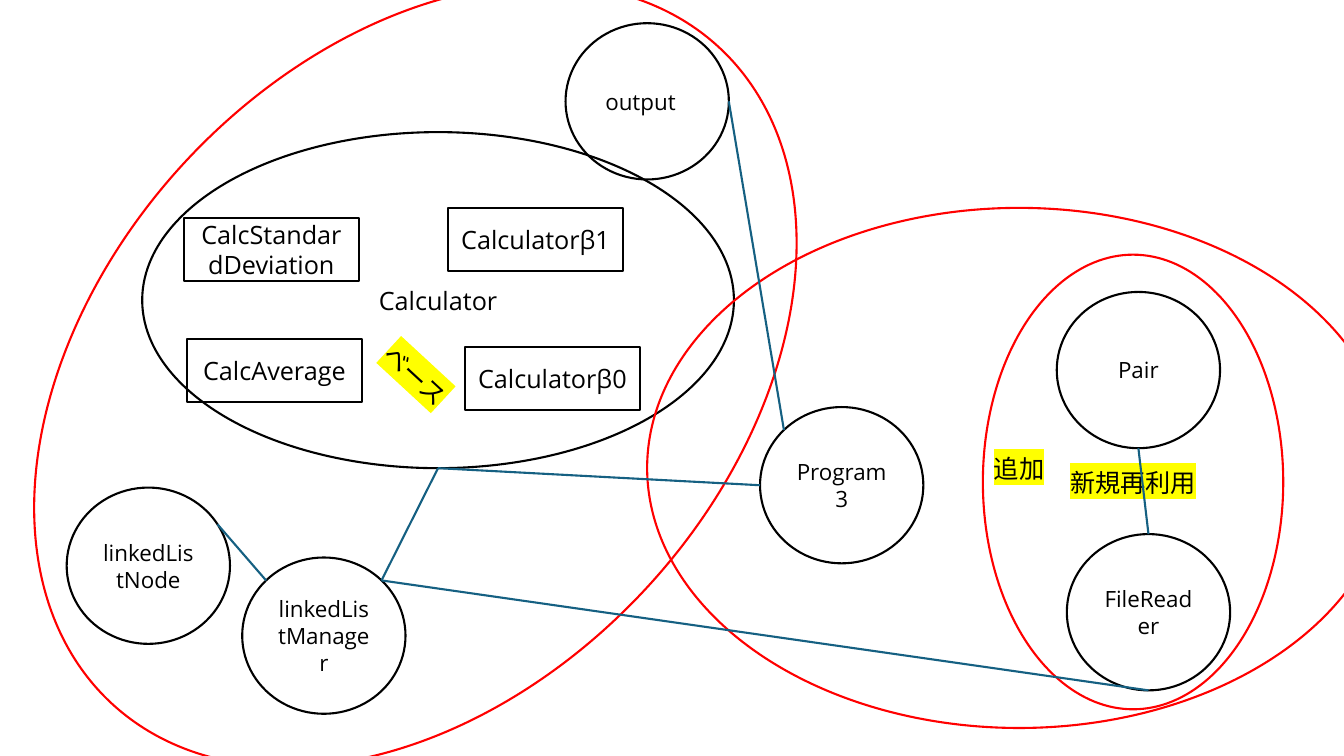
"""Build the class relationship diagram of the calculator program."""
from dataclasses import dataclass
from math import cos, radians, sin

from lxml.etree import SubElement
from pptx import Presentation
from pptx.dml.color import RGBColor
from pptx.enum.shapes import MSO_CONNECTOR, MSO_SHAPE
from pptx.enum.text import MSO_ANCHOR, PP_ALIGN
from pptx.oxml.ns import qn
from pptx.shapes.autoshape import Shape
from pptx.slide import Slide
from pptx.text.text import _Run
from pptx.util import Inches, Pt

COLORS = {"ink": "000000", "group": "FF0000", "link": "156082", "marker": "FFFF00"}
FONT = "Open Sans"
SLIDE_WIDTH, SLIDE_HEIGHT = Inches(40 / 3), Inches(7.5)
COLUMN, ROW = SLIDE_WIDTH / 100, SLIDE_HEIGHT / 100
LINE_WIDTH = Pt(1.5)
CIRCLE_SIZE = (12.15, 20.67)
BOX_SIZE = (13, 8.35)
SITES = {
    "right": 0,
    "bottom": 90,
    "left": 180,
    "top left": 225,
    "top": 270,
    "top right": 315,
    "upper right": 328,
}


@dataclass(frozen=True)
class Node:
    """A labelled outline, placed in columns and rows."""

    label: str
    column: float
    row: float
    size: tuple[float, float] = CIRCLE_SIZE
    outline: MSO_SHAPE = MSO_SHAPE.OVAL
    font_size: int = 16
    line_color: str = "ink"
    highlighted: bool = False
    rotation: float = 0
    right_inset: float = 0.1


@dataclass(frozen=True)
class Link:
    """A straight line between sites of two ellipses."""

    start: str
    start_site: str
    end: str
    end_site: str


def box(label: str, column: float, row: float) -> Node:
    """Describe a calculation class."""
    return Node(label, column, row, BOX_SIZE, MSO_SHAPE.RECTANGLE, 18)


def group(label: str, column: float, row: float, size: tuple[float, float], rotation: float = 0) -> Node:
    """Describe a red group with a highlighted label."""
    return Node(label, column, row, size, font_size=18, line_color="group", highlighted=True, rotation=rotation)


NODES = [
    Node("FileReader", 79.38, 70.65),
    Node("Calculator", 10.58, 17.48, (44.03, 44.45), font_size=18),
    Node("output", 42.08, 3.07, right_inset=0.23),
    box("Calculatorβ1", 33.35, 27.47),
    box("Calculatorβ0", 34.6, 45.9),
    Node("Program3", 56.55, 53.85),
    box("CalcStandardDeviation", 13.69, 28.84),
    box("CalcAverage", 13.92, 44.8),
    group("ベース", 7.54, -9.47, (46.73, 118.27), 42.8),
    group("追加", 48.15, 27.5, (55.35, 68.8)),
    group("新規再利用", 73.13, 33.69, (22.35, 60.13)),
    Node("linkedListNode", 4.96, 64.5),
    Node("linkedListManager", 18.02, 73.75),
    Node("Pair", 78.63, 38.62),
]

LINKS = [
    Link("linkedListNode", "upper right", "linkedListManager", "top left"),
    Link("Program3", "left", "Calculator", "bottom"),
    Link("output", "right", "Program3", "top left"),
    Link("linkedListManager", "top right", "FileReader", "bottom"),
    Link("linkedListManager", "top right", "Calculator", "bottom"),
    Link("Pair", "bottom", "FileReader", "top"),
]


def color(name: str) -> RGBColor:
    """Look up a named colour."""
    return RGBColor.from_string(COLORS[name])


def highlight(run: _Run) -> None:
    """Mark the run's background."""
    properties = run._r.get_or_add_rPr()
    marker = SubElement(properties, qn("a:highlight"))
    SubElement(marker, qn("a:srgbClr"), val=COLORS["marker"])


def draw_node(slide: Slide, node: Node) -> Shape:
    """Draw one node with its centred label."""
    width, height = node.size
    shape = slide.shapes.add_shape(
        node.outline, round(node.column * COLUMN), round(node.row * ROW), round(width * COLUMN), round(height * ROW)
    )
    shape.rotation = node.rotation
    shape.shadow.inherit = False
    shape.fill.background()
    shape.line.color.rgb = color(node.line_color)
    shape.line.width = LINE_WIDTH
    frame = shape.text_frame
    frame.word_wrap = True
    frame.vertical_anchor = MSO_ANCHOR.MIDDLE
    frame.margin_right = Inches(node.right_inset)
    paragraph = frame.paragraphs[0]
    paragraph.alignment = PP_ALIGN.CENTER
    run = paragraph.add_run()
    run.text = node.label
    run.font.size = Pt(node.font_size)
    run.font.color.rgb = color("ink")
    if node.highlighted:
        highlight(run)
    run.font.name = FONT
    return shape


def site_position(shape: Shape, site: str) -> tuple[int, int]:
    """Find a site on an ellipse's edge."""
    angle = radians(SITES[site])
    return (
        round(shape.left + shape.width * (1 + cos(angle)) / 2),
        round(shape.top + shape.height * (1 + sin(angle)) / 2),
    )


def draw_link(slide: Slide, link: Link, shapes: dict[str, Shape]) -> None:
    """Draw one line between two drawn ellipses."""
    start = site_position(shapes[link.start], link.start_site)
    end = site_position(shapes[link.end], link.end_site)
    connector = slide.shapes.add_connector(MSO_CONNECTOR.STRAIGHT, *start, *end)
    connector.line.color.rgb = color("link")
    connector.line.width = LINE_WIDTH
    SubElement(connector._element.spPr, qn("a:effectLst"))


def main() -> None:
    """Build and save the presentation."""
    presentation = Presentation()
    presentation.slide_width, presentation.slide_height = SLIDE_WIDTH, SLIDE_HEIGHT
    slide = presentation.slides.add_slide(presentation.slide_layouts[6])
    shapes = {node.label: draw_node(slide, node) for node in NODES}
    for link in LINKS:
        draw_link(slide, link, shapes)
    presentation.save("out.pptx")


if __name__ == "__main__":
    main()
